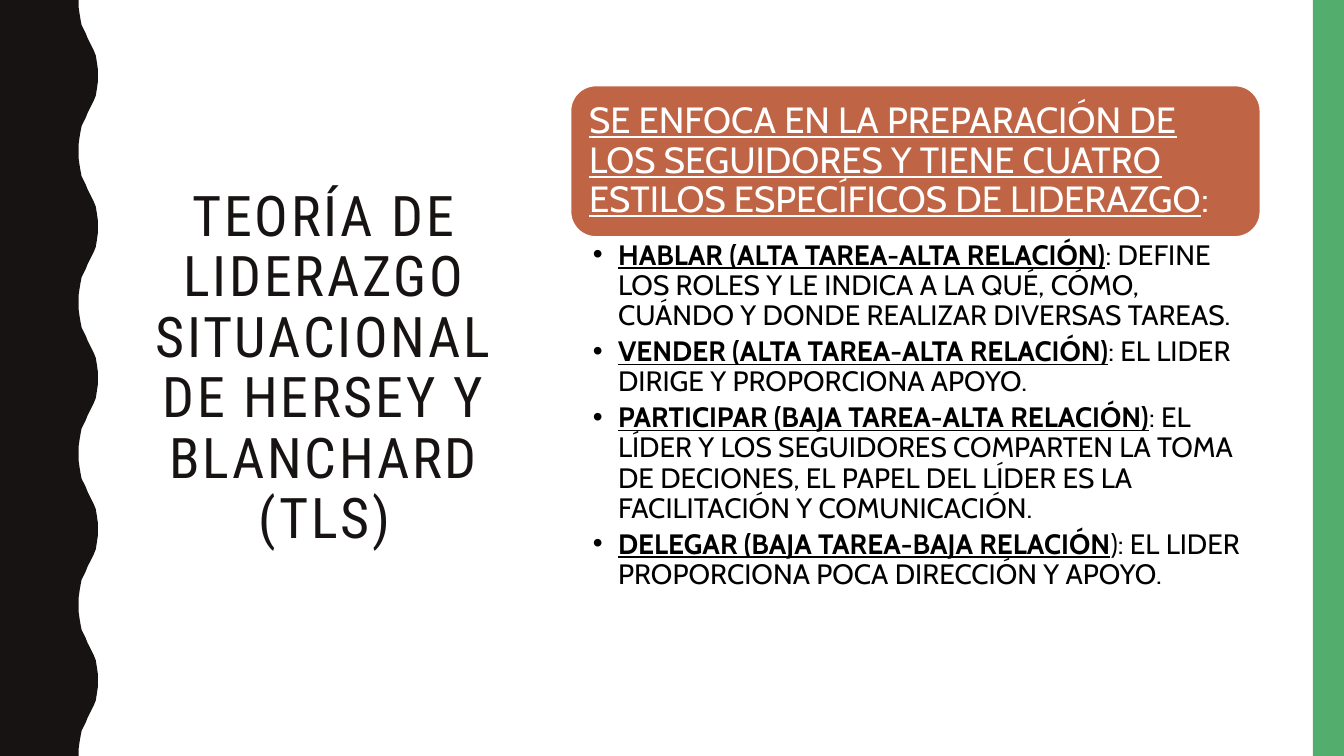
from lxml.etree import SubElement
from pptx import Presentation
from pptx.dml.color import RGBColor
from pptx.enum.shapes import MSO_SHAPE as Shape
from pptx.enum.text import MSO_ANCHOR as Anchor, MSO_AUTO_SIZE as AutoSize, PP_ALIGN as Align
from pptx.oxml.ns import qn
from pptx.util import Inches, Pt

TITLE = "TEORÍA DE LIDERAZGO SITUACIONAL DE HERSEY Y BLANCHARD (TLS)"
HEADING = ("SE ENFOCA EN LA PREPARACIÓN DE LOS SEGUIDORES Y TIENE CUATRO "
           "ESTILOS ESPECÍFICOS DE LIDERAZGO", ":")
STYLES = [
    ("HABLAR (ALTA TAREA-ALTA RELACIÓN)",
     ": DEFINE LOS ROLES Y LE INDICA A LA QUÉ, CÓMO, CUÁNDO Y DONDE REALIZAR DIVERSAS TAREAS."),
    ("VENDER (ALTA TAREA-ALTA RELACIÓN)",
     ": EL LIDER DIRIGE Y PROPORCIONA APOYO."),
    ("PARTICIPAR (BAJA TAREA-ALTA RELACIÓN)",
     ": EL LÍDER Y LOS SEGUIDORES COMPARTEN LA TOMA DE DECIONES, "
     "EL PAPEL DEL LÍDER ES LA FACILITACIÓN Y COMUNICACIÓN."),
    ("DELEGAR (BAJA TAREA-BAJA RELACIÓN",
     "): EL LIDER PROPORCIONA POCA DIRECCIÓN Y APOYO."),
]

INK = RGBColor(0x17, 0x13, 0x12)
GREEN = RGBColor(0x53, 0xAE, 0x6E)
RUST = RGBColor(0xBF, 0x65, 0x46)
WHITE = RGBColor(0xFF, 0xFF, 0xFF)
BLACK = RGBColor(0, 0, 0)
TITLE_FONT = "Roboto Condensed"
BODY_FONT = "Cabin"

SLIDE_WIDTH, SLIDE_HEIGHT = 13.33, 7.5
WAVE_LENGTH = 1.5
WAVE_COUNT = 5
HALF_WAVE = [(0.78, 0), (0.78, 0.07), (0.79, 0.14), (0.8, 0.2), (0.81, 0.25),
             (0.83, 0.29), (0.85, 0.33), (0.87, 0.38), (0.89, 0.42), (0.91, 0.46),
             (0.93, 0.5), (0.95, 0.55), (0.96, 0.61), (0.97, 0.68), (0.97, 0.75)]


def paint(shape, color):
    shape.shadow.inherit = False
    shape.fill.solid()
    shape.fill.fore_color.rgb = color
    shape.line.fill.background()


def place(shape, left, top, width, height):
    shape.left, shape.top = Inches(left), Inches(top)
    shape.width, shape.height = Inches(width), Inches(height)


def set_frame(frame, anchor, left, top, right, bottom):
    frame.word_wrap = True
    frame.auto_size = AutoSize.NONE
    frame.vertical_anchor = anchor
    frame.margin_left, frame.margin_right = Inches(left), Inches(right)
    frame.margin_top, frame.margin_bottom = Inches(top), Inches(bottom)


def set_paragraph(paragraph, alignment, space_after=0):
    paragraph.alignment = alignment
    paragraph.line_spacing = 0.9
    paragraph.space_before = Pt(0)
    paragraph.space_after = Pt(space_after)


def add_run(paragraph, text, font_name, size, color, bold=False, underline=False):
    run = paragraph.add_run()
    run.text = text
    font = run.font
    font.name, font.size, font.bold, font.underline = font_name, Pt(size), bold, underline
    font.color.rgb = color
    return run


def add_bullet(paragraph):
    properties = paragraph._p.get_or_add_pPr()
    properties.set("marL", str(Inches(0.25)))
    properties.set("indent", str(-Inches(0.25)))
    SubElement(properties, qn("a:buChar")).set("char", "•")


def add_wave(slide):
    crest = HALF_WAVE + [(x, WAVE_LENGTH - y) for x, y in reversed(HALF_WAVE[:-1])]
    edge = [(x, y + wave * WAVE_LENGTH) for wave in range(WAVE_COUNT) for x, y in crest]
    outline = [(Inches(x), Inches(y)) for x, y in edge + [(0, SLIDE_HEIGHT)]]
    builder = slide.shapes.build_freeform(0, 0)
    builder.add_line_segments(outline, close=True)
    paint(builder.convert_to_shape(), INK)


def add_title(slide):
    title = slide.shapes.title
    place(title, 1.37, 0.71, 3.7, 5.91)
    set_frame(title.text_frame, Anchor.MIDDLE, 0.1, 0.05, 0.1, 0.05)
    paragraph = title.text_frame.paragraphs[0]
    set_paragraph(paragraph, Align.CENTER)
    run = add_run(paragraph, TITLE, TITLE_FONT, 40, INK)
    run._r.get_or_add_rPr().set("spc", "200")


def add_heading(slide):
    heading = slide.shapes.add_shape(
        Shape.ROUNDED_RECTANGLE, Inches(5.66), Inches(0.85), Inches(6.84), Inches(1.5))
    paint(heading, RUST)
    heading.line.color.rgb = WHITE
    heading.line.width = Pt(1)
    set_frame(heading.text_frame, Anchor.MIDDLE, 0.11, 0.11, 0.11, 0.11)
    paragraph = heading.text_frame.paragraphs[0]
    set_paragraph(paragraph, Align.LEFT)
    for text, underline in zip(HEADING, (True, False)):
        add_run(paragraph, text, BODY_FONT, 26, WHITE, underline=underline)


def add_styles(slide):
    body = slide.placeholders[1]
    place(body, 5.66, 2.35, 6.84, 4.12)
    frame = body.text_frame
    set_frame(frame, Anchor.TOP, 0.22, 0.04, 0.2, 0.04)
    for index, style in enumerate(STYLES):
        paragraph = frame.add_paragraph() if index else frame.paragraphs[0]
        paragraph.level = 1
        add_bullet(paragraph)
        set_paragraph(paragraph, Align.LEFT, 4)
        for text, strong in zip(style, (True, False)):
            add_run(paragraph, text, BODY_FONT, 20, BLACK, strong, strong)


def main():
    presentation = Presentation()
    presentation.slide_width = Inches(SLIDE_WIDTH)
    presentation.slide_height = Inches(SLIDE_HEIGHT)
    slide = presentation.slides.add_slide(presentation.slide_layouts[1])
    add_wave(slide)
    stripe = slide.shapes.add_shape(
        Shape.RECTANGLE, Inches(13.02), 0, Inches(0.31), Inches(SLIDE_HEIGHT))
    paint(stripe, GREEN)
    add_title(slide)
    add_heading(slide)
    add_styles(slide)
    presentation.save("out.pptx")


if __name__ == "__main__":
    main()
